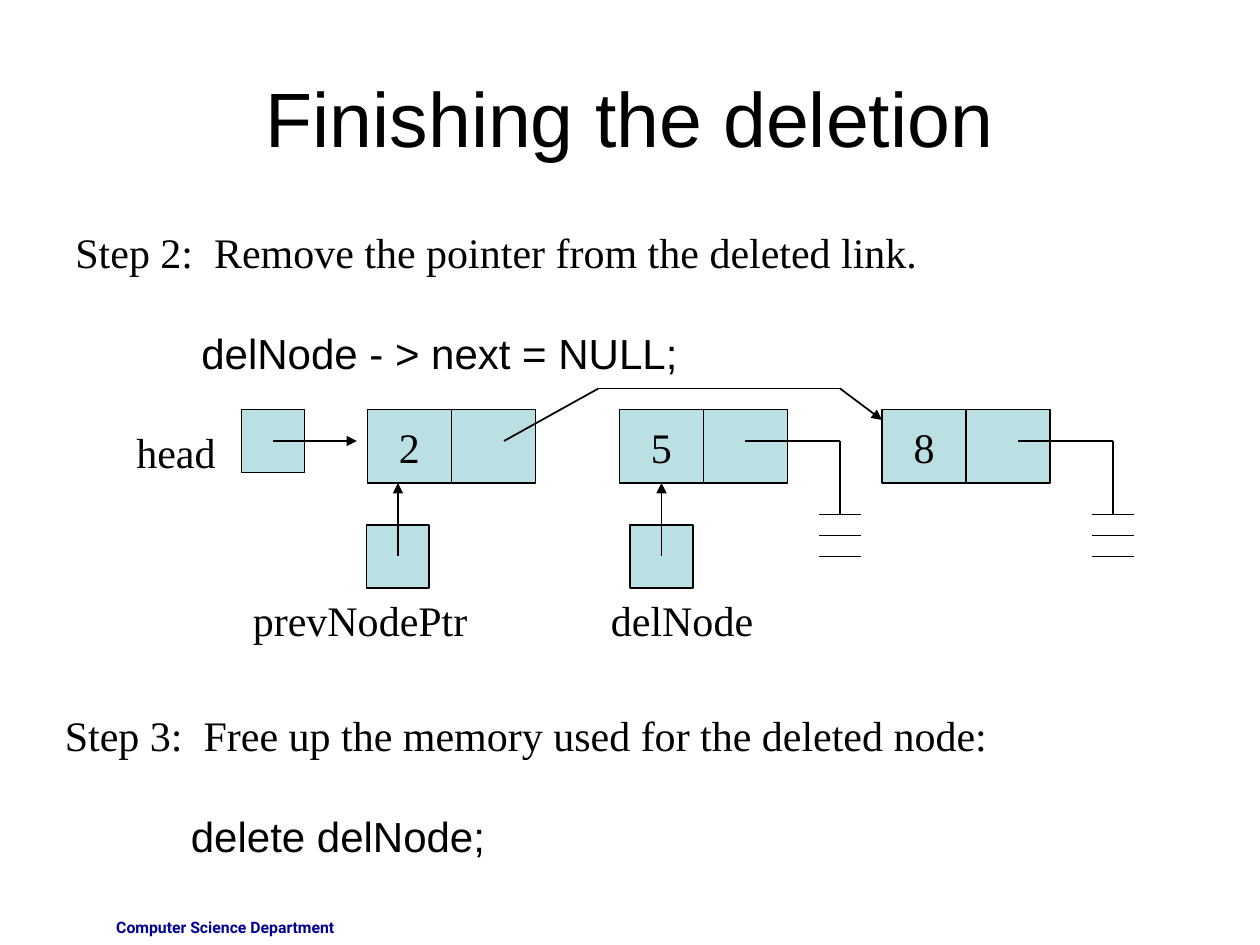
from lxml import etree
from pptx import Presentation
from pptx import util as u
from pptx.dml.color import RGBColor
from pptx.enum import shapes, text
from pptx.oxml.ns import qn

SERIF, SANS = "Times New Roman", "Arial"
ALIGN, ANCHOR = text.PP_ALIGN, text.MSO_ANCHOR


def grid(steps):
    """Length of a number of grid steps, twelve to the inch."""
    return u.Cm(steps * 2.54 / 12)


def color(hex_string):
    return RGBColor.from_string(hex_string)


def write(paragraph, words, size=24, font=SERIF, ink="000000", bold=False,
          align=ALIGN.LEFT, pitch=28.8, before=0, indent=0):
    if indent:
        paragraph._p.get_or_add_pPr().set("marL", str(grid(indent)))
    paragraph.alignment = align
    if pitch:
        paragraph.line_spacing = u.Pt(pitch)
    if before:
        paragraph.space_before = u.Pt(before)
    run = paragraph.add_run()
    run.text = words
    run.font.size, run.font.name, run.font.bold = u.Pt(size), font, bold
    run.font.color.rgb = color(ink)


class ListDiagram:
    ink, fill, line_width = "000000", "BBE0E3", u.Pt(1)

    def __init__(self, slide):
        self.slide = slide

    def title(self, words):
        title = self.slide.shapes.title
        title.left, title.top = grid(6), grid(3.6)
        title.width, title.height = grid(108), grid(15)
        title.text_frame.vertical_anchor = ANCHOR.MIDDLE
        write(title.text_frame.paragraphs[0], words, size=44, font=SANS,
              align=ALIGN.CENTER, pitch=None)

    def label(self, words, left, top, width, height=6, wrap=False, **style):
        box = self.slide.shapes.add_textbox(*map(grid, (left, top, width, height)))
        box.text_frame.word_wrap = wrap
        write(box.text_frame.paragraphs[0], words, **style)
        return box.text_frame

    def step(self, words, code, left, top):
        frame = self.label(words, left, top, 111.2, 15.6, wrap=True)
        write(frame.add_paragraph(), code, font=SANS, before=28.8, indent=12)

    def cell(self, left, top, width, height, value=None):
        cell = self.slide.shapes.add_shape(
            shapes.MSO_SHAPE.RECTANGLE, *map(grid, (left, top, width, height)))
        cell.shadow.inherit = False
        cell.fill.solid()
        cell.fill.fore_color.rgb = color(self.fill)
        cell.line.color.rgb = color(self.ink)
        cell.line.width = self.line_width
        if value:
            cell.text_frame.word_wrap = False
            cell.text_frame.vertical_anchor = ANCHOR.MIDDLE
            write(cell.text_frame.paragraphs[0], value, align=ALIGN.CENTER)
        return cell

    def node(self, left, value):
        """Draw a value cell and its pointer cell; return the value cell."""
        value_cell = self.cell(left, 39, 8, 7, value)
        self.cell(left + 8, 39, 8, 7)
        return value_cell

    def line(self, start, end, arrow=False):
        line = self.slide.shapes.add_connector(
            shapes.MSO_CONNECTOR.STRAIGHT, *map(grid, (*start, *end)))
        line.line.color.rgb = color(self.ink)
        line.line.width = self.line_width
        etree.SubElement(line._element.spPr, qn("a:effectLst"))
        if arrow:
            outline = line.line._get_or_add_ln()
            etree.SubElement(outline, qn("a:tailEnd"), type="triangle")
        return line

    def route(self, *points, arrow=False):
        """Draw lines from point to point, with any arrowhead on the last."""
        for start, end in zip(points, points[1:]):
            self.line(start, end, arrow and end == points[-1])

    def null_link(self, left):
        end = left + 9
        self.route((left, 42), (end, 42), (end, 49))
        for level in (49, 51, 53):
            self.line((end - 2, level), (end + 2, level))

    def pointer(self, left):
        """Draw a pointer box below the nodes and return its arrow."""
        self.cell(left, 50, 6, 6)
        return self.line((left + 3, 53), (left + 3, 46), arrow=True)


def main():
    deck = Presentation()
    deck.slide_width, deck.slide_height = u.Cm(25.4), u.Cm(19.05)
    diagram = ListDiagram(deck.slides.add_slide(deck.slide_layouts[5]))

    diagram.title("Finishing the deletion")
    diagram.label("Computer Science Department", 5, 86.8, 28, 3.2, wrap=True,
                  size=9, font="Roboto", ink="000099", bold=True,
                  align=ALIGN.RIGHT, pitch=None)
    diagram.step("Step 2:  Remove the pointer from the deleted link.",
                 "delNode - > next = NULL;", 6, 21)

    diagram.cell(23, 39, 6, 6)
    diagram.node(35, "2")
    deleted = diagram.node(59, "5")
    diagram.node(84, "8")

    diagram.line((26, 42), (34, 42), arrow=True)
    diagram.route((48, 42), (57, 37), (80, 37), (84, 40), arrow=True)
    for left in (71, 97):
        diagram.null_link(left)
    diagram.pointer(34.9)
    diagram.pointer(60).end_connect(deleted, 2)

    diagram.label("head", 11.8, 40, 10)
    diagram.label("prevNodePtr", 22.9, 56, 22.8)
    diagram.label("delNode", 57, 56, 16)
    diagram.step("Step 3:  Free up the memory used for the deleted node:",
                 "delete delNode;", 5, 67)

    deck.save("out.pptx")


if __name__ == "__main__":
    main()
